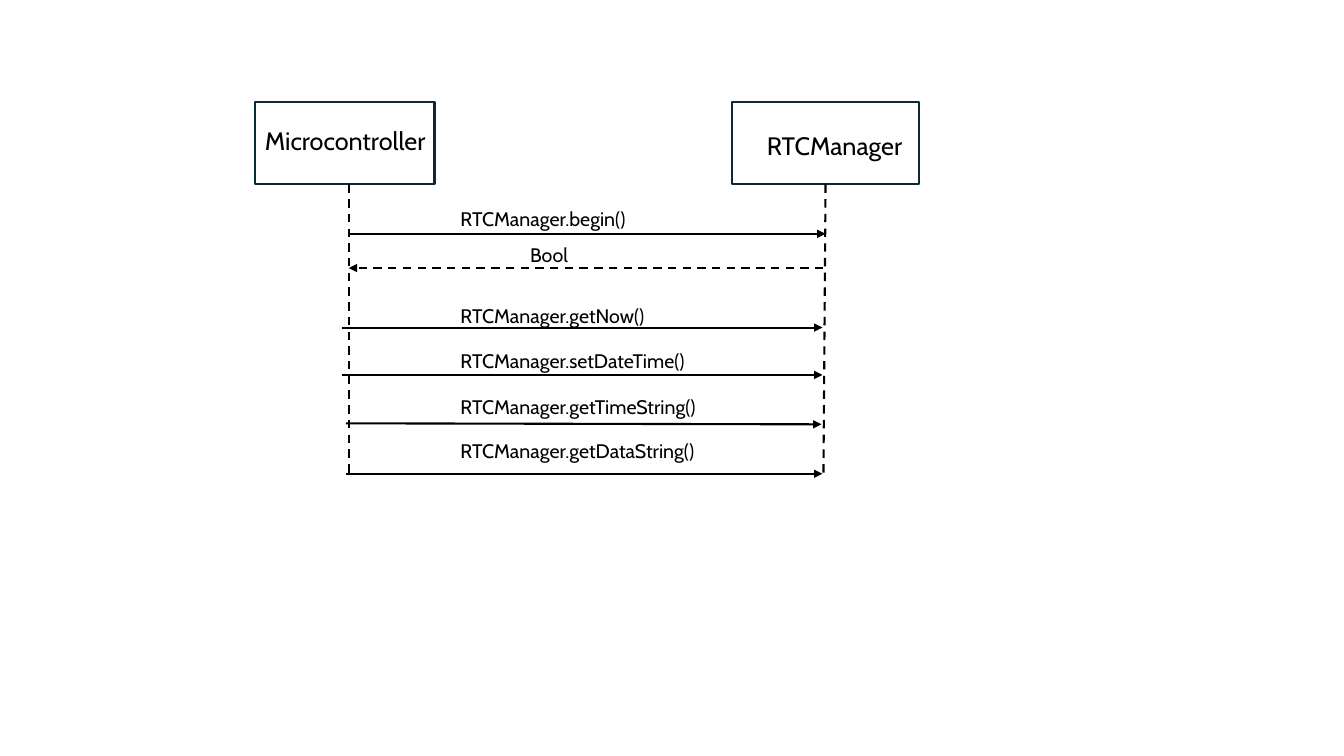
import pptx
import pptx.util
import pptx.dml.color
import pptx.enum.dml
import pptx.enum.shapes
import pptx.oxml
import lxml.etree

Pt = pptx.util.Pt
rgb = pptx.dml.color.RGBColor.from_string

deck = pptx.Presentation()
deck.slide_width, deck.slide_height = Pt(960), Pt(540)
slide = deck.slides.add_slide(deck.slide_layouts[6])


def add_label(text, left, top, width, height, size=14, font="Cabin", color="000000"):
    label = slide.shapes.add_textbox(Pt(left), Pt(top), Pt(width), Pt(height))
    label.text_frame.word_wrap = True
    run = label.text_frame.paragraphs[0].add_run()
    run.text = text
    run.font.size = Pt(size)
    run.font.name = font
    run.font.color.rgb = rgb(color)


def add_line(start, end, dashed=False, arrow=False):
    line = slide.shapes.add_connector(
        pptx.enum.shapes.MSO_CONNECTOR.STRAIGHT, *[Pt(v) for v in (*start, *end)])
    line.line.color.rgb = rgb("000000")
    line.line.width = Pt(1.5)
    if dashed:
        line.line.dash_style = pptx.enum.dml.MSO_LINE.DASH
    if arrow:
        outline = line.line._get_or_add_ln()
        lxml.etree.SubElement(outline, pptx.oxml.ns.qn("a:tailEnd"), type="triangle")
    properties = line._element.spPr
    lxml.etree.SubElement(properties, pptx.oxml.ns.qn("a:effectLst"))


box_top, box_height = 72.7, 59
lifeline_top, lifeline_bottom = box_top + box_height, 338.4

participants = [
    ("Microcontroller", 182.2, 128.2, 182.2, 85.7, 134.6, 249.1, 249.1),
    ("RTCManager", 522.7, 133.9, 540.7, 89.3, 141.1, 589.7, 588.2),
]
for name, left, width, name_left, name_top, name_width, x_top, x_bottom in participants:
    box = slide.shapes.add_shape(
        pptx.enum.shapes.MSO_SHAPE.RECTANGLE, Pt(left), Pt(box_top), Pt(width), Pt(box_height))
    box.shadow.inherit = False
    box.fill.solid()
    box.fill.fore_color.rgb = rgb("FFFFFF")
    box.line.color.rgb = rgb("092A39")
    box.line.width = Pt(1.5)
    add_line((x_top, lifeline_top), (x_bottom, lifeline_bottom), dashed=True)
    add_label(name, name_left, name_top, name_width, 29, size=18)

messages = [
    ("RTCManager.begin()", 321.8, 144, (249.1, 167), (589.7, 167), False),
    ("Bool", 371.5, 169.9, (588.2, 191.5), (249.1, 191.5), True),
    ("RTCManager.getNow()", 321.8, 213.8, (244.1, 234), (587.5, 234), False),
    ("RTCManager.setDateTime()", 321.8, 245.5, (244.1, 267.8), (587.5, 267.8), False),
    ("RTCManager.getTimeString()", 321.8, 278.6, (247, 302.4), (586.8, 303.1), False),
    ("RTCManager.getDataString()", 321.8, 310.3, (247, 338.4), (587.5, 338.4), False),
]
for call, left, top, start, end, is_reply in messages:
    add_line(start, end, dashed=is_reply, arrow=True)
    add_label(call, left, top, 204, 24.2)

deck.save("out.pptx")
